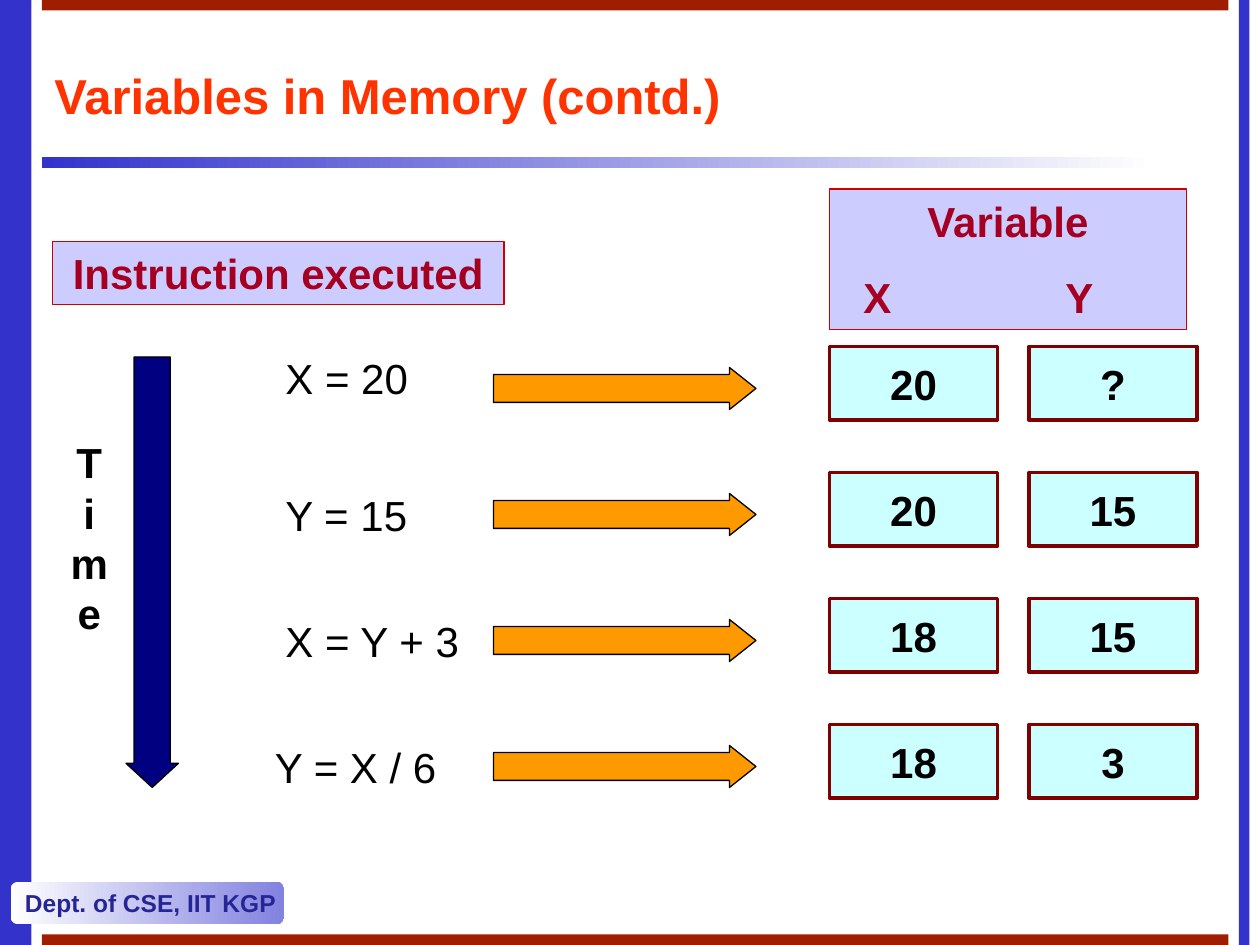
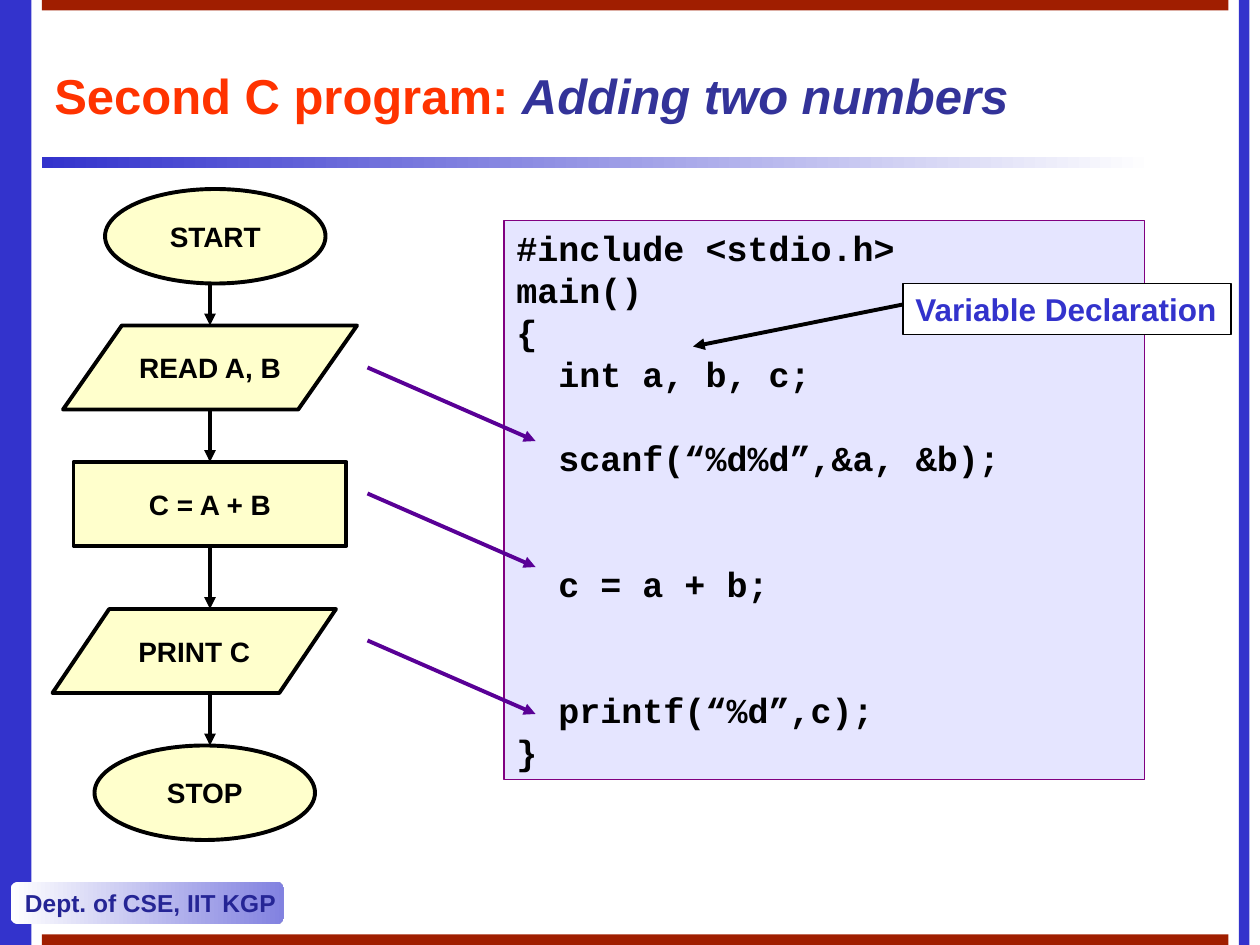
from dataclasses import dataclass
from itertools import pairwise
from typing import NamedTuple

from lxml import etree
from pptx import Presentation
from pptx import util as u
from pptx.dml.color import RGBColor
from pptx.enum import shapes, text
from pptx.oxml.ns import qn

PX = 9525
WIDTH, HEIGHT = 960, 720

BLUE = RGBColor(0x33, 0x33, 0xCC)
BRICK = RGBColor(0xA0, 0x1E, 0x00)
WHITE = RGBColor(0xFF, 0xFF, 0xFF)
BLACK = RGBColor(0x00, 0x00, 0x00)
BADGE_BLUE = RGBColor(0x82, 0x82, 0xE0)
BADGE_TEXT = RGBColor(0x25, 0x25, 0x95)
TITLE_RED = RGBColor(0xFF, 0x33, 0x00)
TITLE_BLUE = RGBColor(0x33, 0x33, 0x99)
LAVENDER = RGBColor(0xCC, 0xCC, 0xFF)
RED = RGBColor(0xCC, 0x00, 0x00)
CRIMSON = RGBColor(0xA5, 0x00, 0x21)
CYAN = RGBColor(0xCC, 0xFF, 0xFF)
MAROON = RGBColor(0x80, 0x00, 0x00)
ORANGE = RGBColor(0xFF, 0x99, 0x00)
NAVY = RGBColor(0x00, 0x00, 0x80)
CREAM = RGBColor(0xFF, 0xFF, 0xCC)
CODE_FILL = RGBColor(0xE5, 0xE5, 0xFF)
PURPLE = RGBColor(0x80, 0x00, 0x80)
VIOLET = RGBColor(0x59, 0x00, 0x96)

KIND = shapes.MSO_SHAPE
LEFT, CENTER = text.PP_ALIGN.LEFT, text.PP_ALIGN.CENTER
TOP, MIDDLE = text.MSO_ANCHOR.TOP, text.MSO_ANCHOR.MIDDLE


class Area(NamedTuple):
    x: int
    y: int
    width: int
    height: int

    def emu(self):
        return [value * PX for value in self]


class Span(NamedTuple):
    words: str
    color: RGBColor
    italic: bool = False


class Line(NamedTuple):
    words: str
    gap: int = 0
    tabs: tuple[int, ...] = ()


class Gradient(NamedTuple):
    left: RGBColor
    right: RGBColor


@dataclass(frozen=True)
class TextStyle:
    size: int
    color: RGBColor = BLACK
    bold: bool = True
    font: str = "Arial"
    align: text.PP_ALIGN = CENTER
    anchor: text.MSO_ANCHOR = MIDDLE
    wrap: bool = False


@dataclass(frozen=True)
class Look:
    kind: shapes.MSO_SHAPE = KIND.RECTANGLE
    fill: RGBColor | Gradient = WHITE
    line: RGBColor | None = None
    weight: float = 0.75
    adjust: tuple[float, ...] = ()


class Step(NamedTuple):
    instruction: str
    x: int
    y: int
    values: tuple[str, str]


class Node(NamedTuple):
    label: str
    kind: shapes.MSO_SHAPE
    area: Area


TITLE = TextStyle(28, TITLE_RED, align=LEFT, wrap=True)
BADGE = TextStyle(14, BADGE_TEXT, align=LEFT)
HEADER = TextStyle(24, CRIMSON, anchor=TOP, wrap=True)
INSTRUCTION = TextStyle(24, bold=False, align=LEFT, anchor=TOP, wrap=True)
TIME = TextStyle(24, anchor=TOP, wrap=True)
VALUE = TextStyle(24)
NODE = TextStyle(16)
CODE = TextStyle(20, font="Courier New", align=LEFT, anchor=TOP, wrap=True)
NOTE = TextStyle(18, BLUE, align=LEFT, anchor=TOP)

HEADER_BOX = Look(fill=LAVENDER, line=RED)
VALUE_BOX = Look(fill=CYAN, line=MAROON, weight=2)
STEP_ARROW = Look(KIND.RIGHT_ARROW, ORANGE, BLACK, adjust=(0.66, 0.63))
TIME_ARROW = Look(KIND.DOWN_ARROW, NAVY, BLACK, adjust=(0.69, 0.46))

FIRST_ROW, ROW_PITCH = 264, 96
STEPS = [
    Step("X = 20", 208, 264, ("20", "?")),
    Step("Y = 15", 208, 368, ("20", "15")),
    Step("X = Y + 3", 208, 464, ("18", "15")),
    Step("Y = X / 6", 200, 560, ("18", "3")),
]

FLOW_X = 160
FLOW = [
    Node("START", KIND.OVAL, Area(80, 144, 168, 72)),
    Node("READ A, B", KIND.FLOWCHART_DATA, Area(48, 248, 224, 64)),
    Node("C = A + B", KIND.RECTANGLE, Area(56, 352, 208, 64)),
    Node("PRINT C", KIND.FLOWCHART_DATA, Area(40, 464, 216, 64)),
    Node("STOP", KIND.OVAL, Area(72, 568, 168, 72)),
]

PROGRAM = [
    Line("#include <stdio.h>"),
    Line("main()"),
    Line("{"),
    Line("  int a, b, c;"),
    Line("  scanf(“%d%d”,&a, &b);", gap=24),
    Line("  c = a + b;", gap=48),
    Line("  printf(“%d”,c);", gap=48),
    Line("}"),
]


def set_tabs(para, stops: tuple[int, ...]) -> None:
    tab_list = etree.SubElement(para._p.get_or_add_pPr(), qn("a:tabLst"))
    for stop in stops:
        etree.SubElement(tab_list, qn("a:tab"), pos=str(stop * PX), algn="ctr")


def style_paragraph(para, style: TextStyle) -> None:
    para.alignment = LEFT if "\t" in para.text else style.align
    para.line_spacing = u.Pt(round(style.size * 1.2, 1))
    para.font.name = style.font
    para.font.size = u.Pt(style.size)
    para.font.bold = style.bold


def prepare_frame(box, style: TextStyle):
    frame = box.text_frame
    frame.word_wrap = style.wrap
    frame.vertical_anchor = style.anchor
    return frame


def write(box, lines: list[Line], style: TextStyle) -> None:
    frame = prepare_frame(box, style)
    for index, line in enumerate(lines):
        para = frame.add_paragraph() if index else frame.paragraphs[0]
        if line.tabs:
            set_tabs(para, line.tabs)
        para.text = line.words
        style_paragraph(para, style)
        para.font.color.rgb = style.color
        if line.gap:
            para.space_before = u.Pt(line.gap)


def add_text(page, area: Area, lines: list[Line], style: TextStyle) -> None:
    write(page.shapes.add_textbox(*area.emu()), lines, style)


def add_box(page, area: Area, look: Look, lines: list[Line] | None = None,
            style: TextStyle = VALUE):
    box = page.shapes.add_shape(look.kind, *area.emu())
    box.shadow.inherit = False
    for index, value in enumerate(look.adjust):
        box.adjustments[index] = value
    if isinstance(look.fill, Gradient):
        box.fill.gradient()
        box.fill.gradient_angle = 0
        for stop, color in zip(box.fill.gradient_stops, look.fill):
            stop.color.rgb = color
    else:
        box.fill.solid()
        box.fill.fore_color.rgb = look.fill
    if look.line is None:
        box.line.fill.background()
    else:
        box.line.color.rgb = look.line
        box.line.width = u.Pt(look.weight)
    if lines:
        write(box, lines, style)
    return box


def add_arrow(page, start: tuple[int, int], end: tuple[int, int], color: RGBColor = BLACK):
    ends = [value * PX for value in (*start, *end)]
    arrow = page.shapes.add_connector(shapes.MSO_CONNECTOR.STRAIGHT, *ends)
    arrow.line.color.rgb = color
    arrow.line.width = u.Pt(2.25)
    etree.SubElement(arrow.line._get_or_add_ln(), qn("a:tailEnd"), type="triangle")
    etree.SubElement(arrow._element.spPr, qn("a:effectLst"))
    return arrow


def add_page(deck, title: list[Span], title_width: int):
    page = deck.slides.add_slide(deck.slide_layouts[6])
    for x, width in ((0, 24), (944, 8)):
        add_box(page, Area(x, 0, width, HEIGHT), Look(fill=BLUE))
    add_box(page, Area(32, 120, 848, 8), Look(fill=Gradient(BLUE, WHITE)))
    badge = Look(KIND.ROUNDED_RECTANGLE, Gradient(WHITE, BADGE_BLUE))
    add_box(page, Area(8, 672, 208, 32), badge, [Line("Dept. of CSE, IIT KGP")], BADGE)
    for y in (0, HEIGHT - 8):
        add_box(page, Area(32, y, 904, 8), Look(fill=BRICK))

    box = page.shapes.add_textbox(*Area(32, 32, title_width, 80).emu())
    para = prepare_frame(box, TITLE).paragraphs[0]
    for span in title:
        run = para.add_run()
        run.text = span.words
        run.font.color.rgb = span.color
        if span.italic:
            run.font.italic = True
    style_paragraph(para, TITLE)
    return page


def build_memory_page(deck) -> None:
    page = add_page(deck, [Span("Variables in Memory (contd.)", TITLE_RED)], 816)
    columns = [Line("Variable"), Line("\tX\tY", gap=15, tabs=(27, 181))]
    add_box(page, Area(632, 144, 272, 107), HEADER_BOX, columns, HEADER)
    add_box(page, Area(40, 184, 344, 48), HEADER_BOX, [Line("Instruction executed")], HEADER)
    add_box(page, Area(96, 272, 40, 328), TIME_ARROW)
    add_text(page, Area(32, 328, 72, 222), [Line(letter) for letter in "Time"], TIME)
    for row, step in enumerate(STEPS):
        y = FIRST_ROW + row * ROW_PITCH
        add_text(page, Area(step.x, step.y, 168, 48), [Line(step.instruction)], INSTRUCTION)
        add_box(page, Area(376, y + 16, 200, 32), STEP_ARROW)
        for x, value in zip((632, 784), step.values):
            add_box(page, Area(x, y, 128, 56), VALUE_BOX, [Line(value)], VALUE)


def build_program_page(deck) -> None:
    title = [Span("Second C program: ", TITLE_RED), Span("Adding two numbers", TITLE_BLUE, True)]
    page = add_page(deck, title, 904)
    boxes = [add_box(page, node.area, Look(node.kind, CREAM, BLACK, 2.25), [Line(node.label)], NODE)
             for node in FLOW]
    for (upper, upper_box), (lower, lower_box) in pairwise(zip(FLOW, boxes)):
        bottom = upper.area.y + upper.area.height
        arrow = add_arrow(page, (FLOW_X, bottom), (FLOW_X, lower.area.y))
        if upper.kind == KIND.RECTANGLE:
            arrow.begin_connect(upper_box, 2)
        if lower.kind == KIND.RECTANGLE:
            arrow.end_connect(lower_box, 0)

    add_box(page, Area(384, 168, 488, 426), Look(fill=CODE_FILL, line=PURPLE), PROGRAM, CODE)
    add_box(page, Area(688, 216, 250, 39), Look(line=BLACK), [Line("Variable Declaration")], NOTE)
    add_arrow(page, (688, 232), (528, 264))
    for y in (280, 376, 488):
        add_arrow(page, (280, y), (408, y + 56), VIOLET)


def main() -> None:
    deck = Presentation()
    deck.slide_width, deck.slide_height = WIDTH * PX, HEIGHT * PX
    build_memory_page(deck)
    build_program_page(deck)
    deck.save("out.pptx")


if __name__ == "__main__":
    main()
